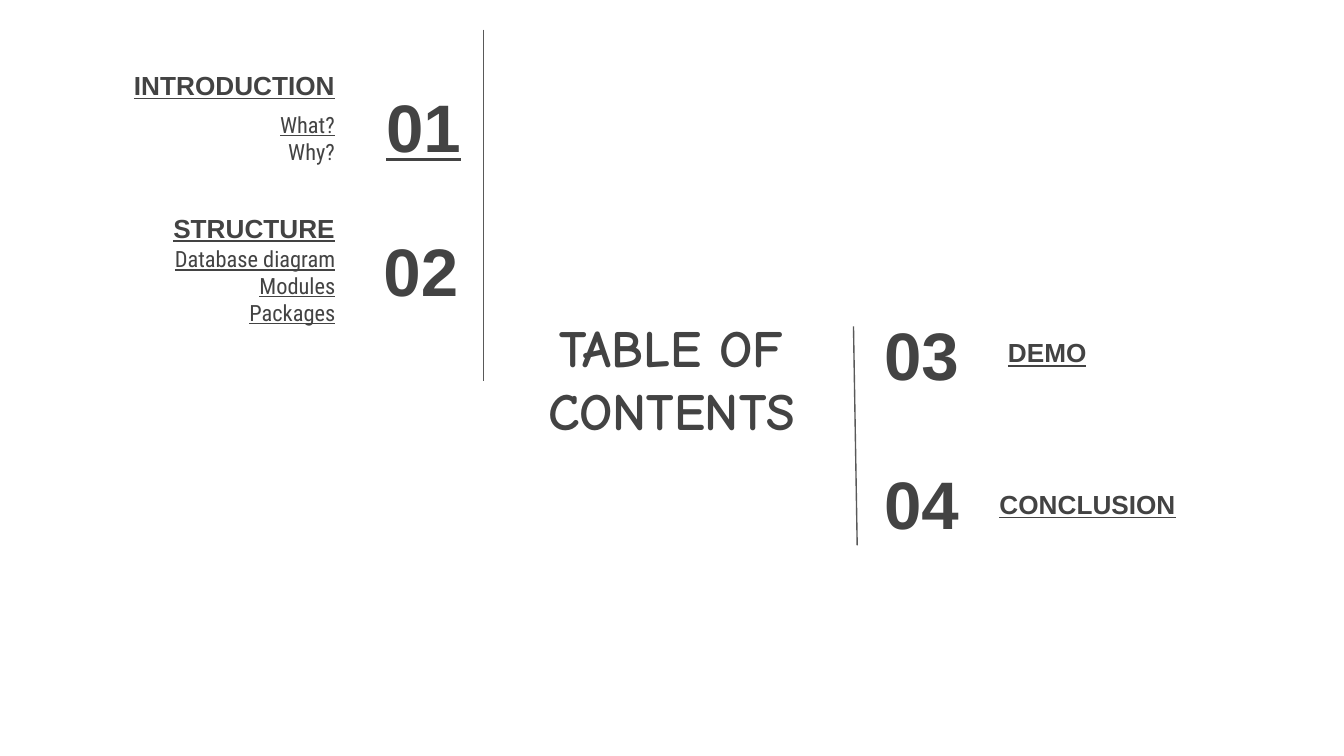
import dataclasses

import pptx
import pptx.dml.color
import pptx.enum.shapes
import pptx.enum.text
import pptx.oxml
import pptx.oxml.ns
import pptx.util

Cm, Pt = pptx.util.Cm, pptx.util.Pt
Align, Mid = pptx.enum.text.PP_ALIGN, pptx.enum.text.MSO_ANCHOR
Box = tuple[float, float, float, float]
INK, RULE = "434343", "595959"


@dataclasses.dataclass
class Part:
    """One numbered section: number, heading and optional topics."""
    num: str
    head: str
    num_box: Box
    head_box: Box
    align: Align
    mark: bool = False  # underline the number


@dataclasses.dataclass
class Topics:
    box: Box
    lines: list[tuple[str, bool]]  # text, underlined


PARTS = [
    Part("01", "INTRODUCTION", (5.89, 1.57, 3.07, 1.6), (1.09, 0.56, 5.49, 1.6), Align.RIGHT, True),
    Part("02", "STRUCTURE", (5.84, 4.29, 3.07, 1.6), (1.09, 3.25, 5.49, 1.6), Align.RIGHT),
    Part("03", "DEMO", (16.46, 5.89, 2.97, 1.6), (18.8, 6.17, 2.18, 1.04), Align.LEFT),
    Part("04", "CONCLUSION", (16.46, 8.71, 2.97, 1.6), (18.64, 8.48, 4.14, 1.6), Align.LEFT),
]
TOPICS = [
    Topics((1.92, 1.85, 4.66, 1.6), [("What?", True), ("Why?", False)]),
    Topics((1.93, 4.39, 4.66, 2.74),
           [("Database diagram", True), ("Modules", True), ("Packages", True)]),
]
RULES = [(9.14, 0.56, 9.14, 7.21), (16.13, 6.17, 16.2, 10.31)]


def tint(code: str) -> pptx.dml.color.RGBColor:
    return pptx.dml.color.RGBColor.from_string(code)


def place(shape, box: Box) -> None:
    shape.left, shape.top, shape.width, shape.height = map(Cm, box)


def write(shape, lines: list[tuple[str, bool]], *, size: float, face: str = "Arial",
          bold: bool = True, align=Align.LEFT, anchor=Mid.MIDDLE) -> None:
    """Fill a shape with (text, underlined) lines in one format."""
    frame = shape.text_frame
    frame.word_wrap = True
    frame.auto_size = pptx.enum.text.MSO_AUTO_SIZE.NONE
    frame.vertical_anchor = anchor
    frame.margin_left = frame.margin_right = Cm(0.25)
    frame.margin_top = frame.margin_bottom = Cm(0.25)
    for i, (text, under) in enumerate(lines):
        para = frame.paragraphs[0] if i == 0 else frame.add_paragraph()
        para.alignment = align
        run = para.add_run()
        run.text = text
        font = run.font
        font.name, font.size, font.bold = face, Pt(size), bold
        font.underline = under
        font.color.rgb = tint(INK)


def add_text(slide, box: Box, lines: list[tuple[str, bool]], **form) -> None:
    write(slide.shapes.add_textbox(*map(Cm, box)), lines, **form)


def add_part(slide, part: Part) -> None:
    add_text(slide, part.num_box, [(part.num, part.mark)], size=36, align=part.align)
    add_text(slide, part.head_box, [(part.head, True)], size=14,
             align=part.align, anchor=Mid.BOTTOM)


def add_rule(slide, ends: Box) -> None:
    kind = pptx.enum.shapes.MSO_CONNECTOR.STRAIGHT
    rule = slide.shapes.add_connector(kind, *map(Cm, ends))
    rule.line.color.rgb = tint(RULE)
    rule.line.width = Pt(0.75)
    props = rule._element.spPr
    props.append(pptx.oxml.parse_xml(f"<a:effectLst {pptx.oxml.ns.nsdecls('a')}/>"))


def main() -> None:
    deck = pptx.Presentation()
    deck.slide_width, deck.slide_height = Cm(25.4), Cm(14.29)
    slide = deck.slides.add_slide(deck.slide_layouts[5])

    # Title
    title = slide.shapes.title
    place(title, (9.4, 5.84, 6.58, 2.62))
    write(title, [("TABLE OF CONTENTS", False)], size=28, face="Comic Neue",
          align=Align.CENTER)

    # Numbered sections
    for part in PARTS:
        add_part(slide, part)

    # Topics under the left headings
    for topic in TOPICS:
        add_text(slide, topic.box, topic.lines, size=12, face="Roboto Condensed",
                 bold=False, align=Align.RIGHT, anchor=Mid.TOP)

    # Dividing rules
    for ends in RULES:
        add_rule(slide, ends)

    deck.save("out.pptx")


if __name__ == "__main__":
    main()
